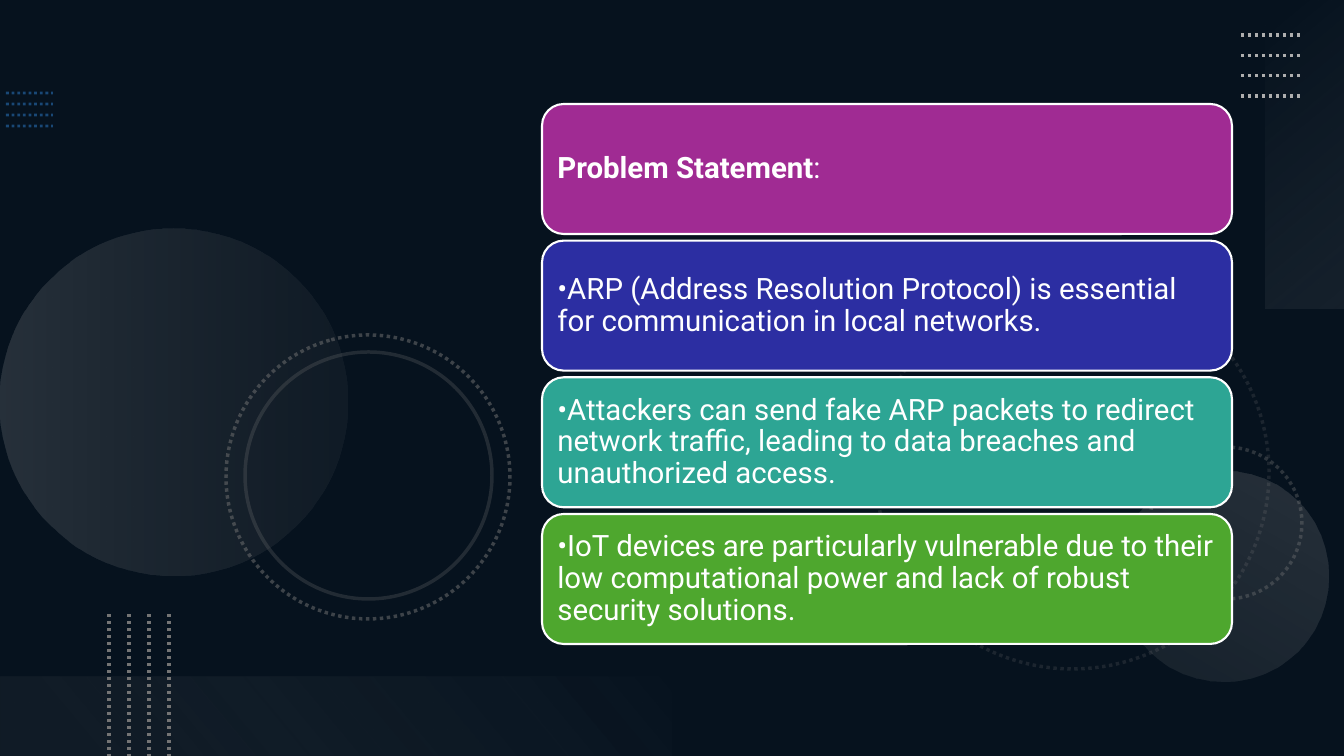
from lxml import etree
from pptx import Presentation, util as u
from pptx.dml.color import RGBColor
from pptx.enum import dml, shapes, text
from pptx.oxml import parse_xml
from pptx.oxml.ns import nsdecls, qn

PX = 914400 / 100.8
NAVY = RGBColor(0x0E, 0x28, 0x41)
BLACK = RGBColor(0x00, 0x00, 0x00)
WHITE = RGBColor(0xFF, 0xFF, 0xFF)
BLUE = RGBColor(0x2D, 0x7F, 0xCF)
GRAY = RGBColor(0x74, 0x74, 0x74)
SILVER = RGBColor(0xAE, 0xAE, 0xAE)
PALE = RGBColor(0xF6, 0xF6, 0xF6)
PURPLE = RGBColor(0xA0, 0x2B, 0x93)
INDIGO = RGBColor(0x2C, 0x2E, 0xA2)
TEAL = RGBColor(0x2D, 0xA5, 0x94)
GREEN = RGBColor(0x4E, 0xA7, 0x2E)

# Each card is a fill colour and its runs of (words, bold)
CARDS = [
    (PURPLE, [("Problem Statement", True), (":", False)]),
    (INDIGO, [("•ARP (Address Resolution Protocol) is essential for "
               "communication in local networks.", False)]),
    (TEAL, [("•Attackers can send fake ARP packets to redirect network "
             "traffic, leading to data breaches and unauthorized access.", False)]),
    (GREEN, [("•IoT devices are particularly vulnerable due to their low "
              "computational power and lack of robust security solutions.", False)]),
]


def px(length):
    return u.Emu(round(length * PX))


def set_alpha(fill, percent):
    color = fill._xPr.find(qn("a:solidFill"))[0]
    etree.SubElement(color, qn("a:alpha"), val=str(percent * 1000))


def add_plain_shape(slide, kind, box, rotation=0):
    shape = slide.shapes.add_shape(kind, *map(px, box))
    shape.shadow.inherit = False
    shape.rotation = rotation
    shape.fill.background()
    shape.line.fill.background()
    return shape


def add_glow(slide, kind, box, rotation, angle, stops):
    """Shape with a translucent gradient; stops are (position, colour, alpha)."""
    shape = add_plain_shape(slide, kind, box, rotation)
    stop_xml = "".join(
        f'<a:gs pos="{position * 1000}"><a:srgbClr val="{color}">'
        f'<a:alpha val="{alpha * 1000}"/></a:srgbClr></a:gs>'
        for position, color, alpha in stops)
    gradient = parse_xml(
        f'<a:gradFill {nsdecls("a")} rotWithShape="1"><a:gsLst>{stop_xml}</a:gsLst>'
        f'<a:lin ang="{angle * 60000}" scaled="0"/></a:gradFill>')
    properties = shape._element.spPr
    properties.replace(properties.find(qn("a:noFill")), gradient)


def add_ring(slide, box, rotation, alpha, dotted=True):
    ring = add_plain_shape(slide, shapes.MSO_SHAPE.OVAL, box, rotation)
    ring.line.color.rgb = GRAY
    ring.line.width = u.Pt(2.5)
    set_alpha(ring.line.fill, alpha)
    if dotted:
        ring.line.dash_style = dml.MSO_LINE.ROUND_DOT


def add_dotted_lines(slide, box, color, width, vertical=False, alpha=100, count=4):
    left, top, box_width, box_height = box
    for index in range(count):
        part = index / (count - 1)
        if vertical:
            x = left + box_width * part
            ends = (x, top, x, top + box_height)
        else:
            y = top + box_height * part
            ends = (left, y, left + box_width, y)
        line = slide.shapes.add_connector(shapes.MSO_CONNECTOR.STRAIGHT, *map(px, ends))
        line.line.color.rgb = color
        line.line.width = u.Pt(width)
        line.line.dash_style = dml.MSO_LINE.ROUND_DOT
        if alpha < 100:
            set_alpha(line.line.fill, alpha)
        etree.SubElement(line._element.spPr, qn("a:effectLst"))


def add_backdrop(slide, box):
    left, top, width, height = box
    right, bottom = left + width, top + height
    oval, rectangle = shapes.MSO_SHAPE.OVAL, shapes.MSO_SHAPE.RECTANGLE

    # Dark veil over the navy background
    slide.background.fill.solid()
    slide.background.fill.fore_color.rgb = NAVY
    veil = add_plain_shape(slide, rectangle, box)
    veil.fill.solid()
    veil.fill.fore_color.rgb = BLACK
    set_alpha(veil.fill, 53)

    add_dotted_lines(slide, (left + 6, top + 93, 47, 33), BLUE, 2, alpha=50)

    # Discs and rings
    add_ring(slide, (right - 468, top + 276, 393, 393), 75, 20)
    add_ring(slide, (right - 194, top + 447, 152, 152), 270, 35)
    add_glow(slide, oval, (left, top + 229, 347, 347), 270, 90,
             [(0, SILVER, 20), (100, GRAY, 10)])
    add_glow(slide, oval, (right - 225, top + 471, 210, 210), 210, 90,
             [(0, SILVER, 10), (100, SILVER, 20)])
    add_ring(slide, (left + 226, top + 335, 284, 284), 75, 50)
    add_ring(slide, (left + 245, top + 352, 247, 247), 75, 25, dotted=False)

    # Corner bands with their dotted lines
    add_glow(slide, rectangle, (right - 193, top + 115, 308, 79), 270, 140,
             [(0, PALE, 0), (100, SILVER, 10)])
    add_dotted_lines(slide, (right - 103, top + 35, 60, 61), SILVER, 2.5)
    add_glow(slide, rectangle, (left, bottom - 79, 672, 79), 180, 140,
             [(10, GRAY, 10), (100, PALE, 0)])
    add_dotted_lines(slide, (left + 109, bottom - 142, 60, 142), GRAY, 2.5, vertical=True)


def add_cards(slide, box, card_height=130):
    left, top, width, height = box
    pitch = (height - card_height) / (len(CARDS) - 1)
    for index, (color, runs) in enumerate(CARDS):
        card = add_plain_shape(slide, shapes.MSO_SHAPE.ROUNDED_RECTANGLE,
                               (left, top + index * pitch, width, card_height))
        card.fill.solid()
        card.fill.fore_color.rgb = color
        card.line.color.rgb = WHITE
        card.line.width = u.Pt(1.5)

        frame = card.text_frame
        frame.word_wrap = True
        frame.vertical_anchor = text.MSO_ANCHOR.MIDDLE
        frame.margin_left = frame.margin_right = px(9)
        frame.margin_top = frame.margin_bottom = px(9)
        paragraph = frame.paragraphs[0]
        paragraph.alignment = text.PP_ALIGN.LEFT
        paragraph.line_spacing = 0.9
        for words, bold in runs:
            run = paragraph.add_run()
            run.text = words
            run.font.name = "Roboto"
            run.font.size = u.Pt(21)
            run.font.bold = bold
            run.font.color.rgb = WHITE


def main():
    presentation = Presentation()
    presentation.slide_width, presentation.slide_height = px(1344), px(756)
    slide = presentation.slides.add_slide(presentation.slide_layouts[6])
    add_backdrop(slide, (0, 0, 1344, 756))
    add_cards(slide, (542, 104, 690, 540))
    presentation.save("out.pptx")


if __name__ == "__main__":
    main()
